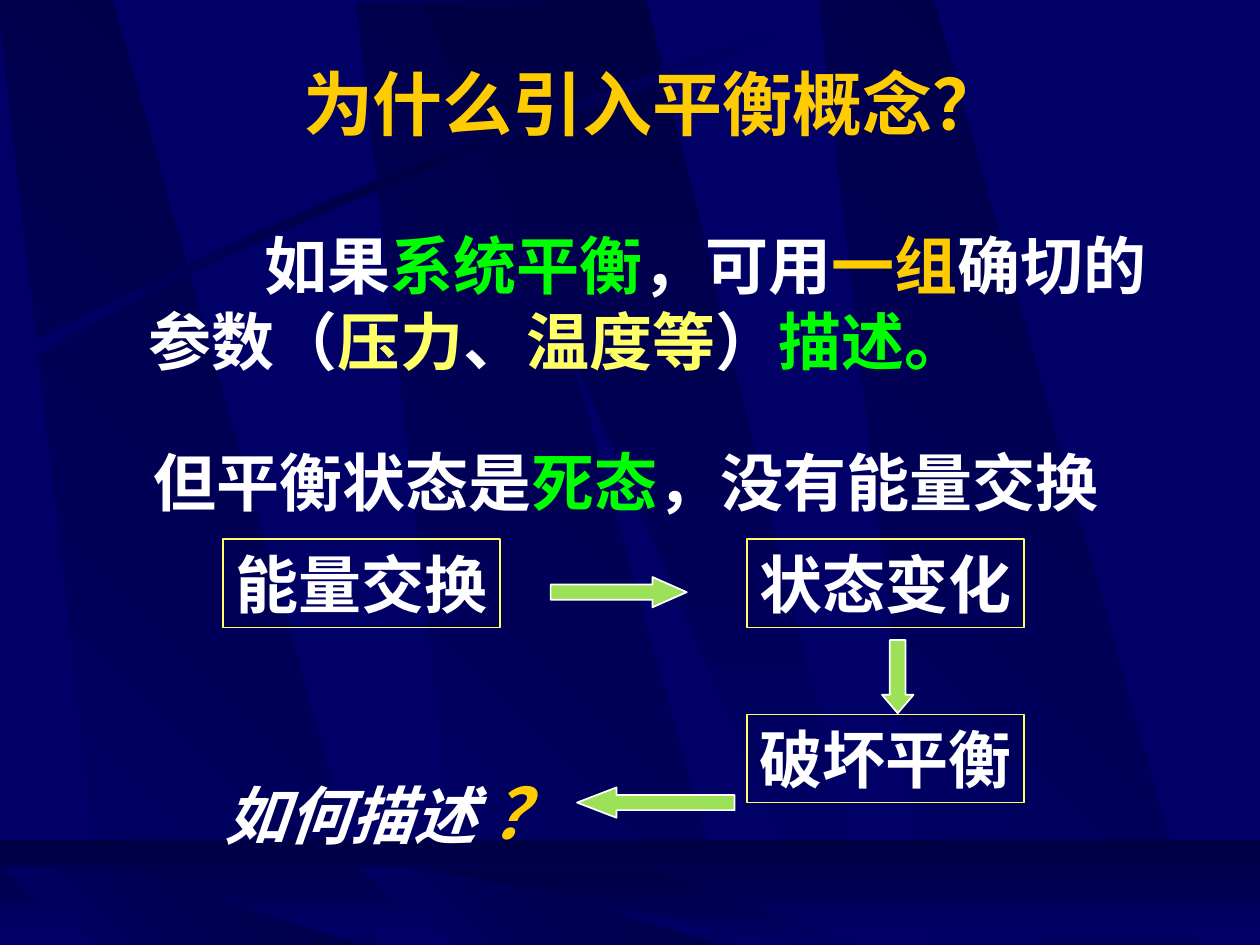
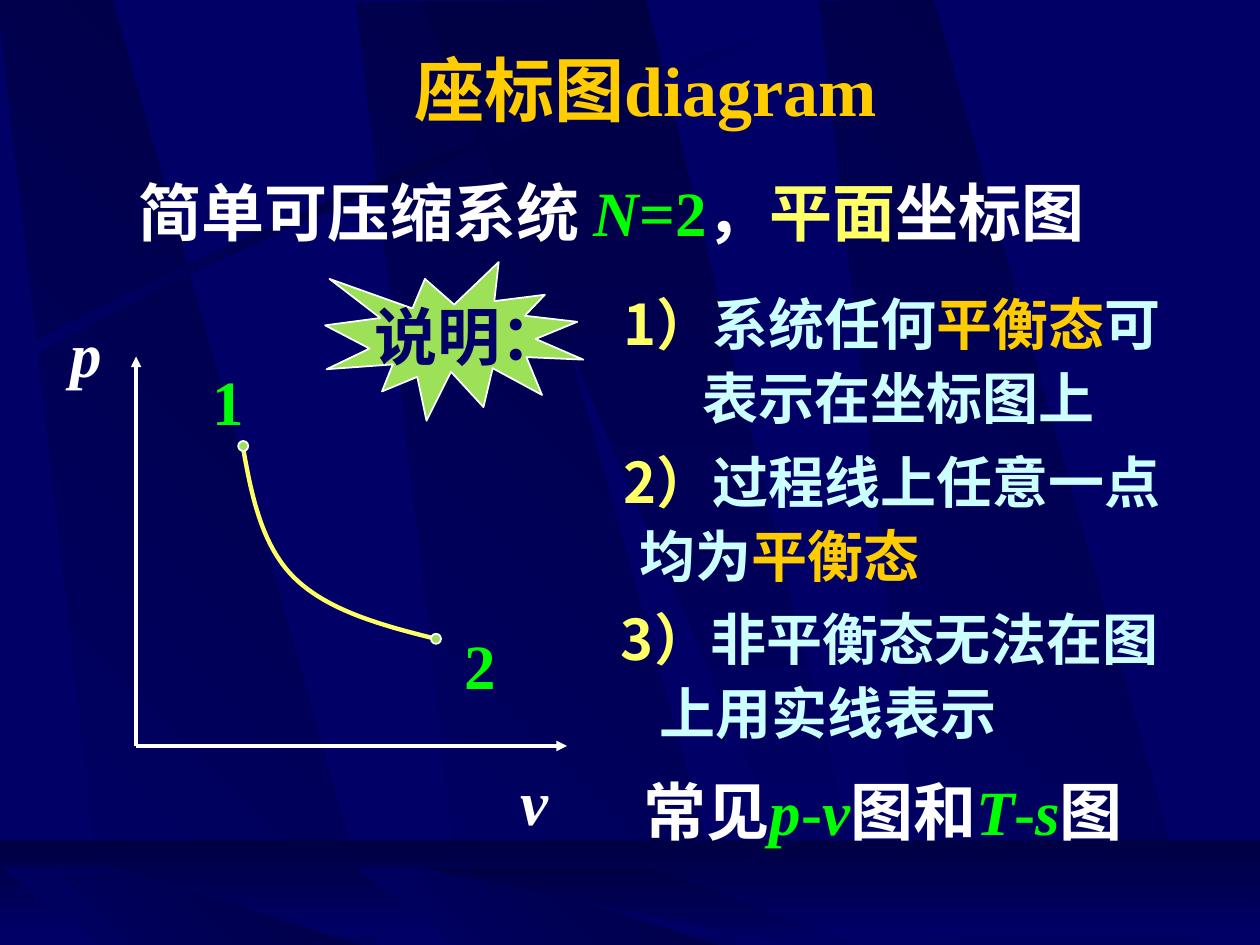
from copy import deepcopy

from lxml.etree import SubElement
from pptx import Presentation
from pptx.dml.color import RGBColor
from pptx.enum.shapes import MSO_CONNECTOR, MSO_SHAPE as SHAPE
from pptx.enum.text import MSO_ANCHOR, MSO_AUTO_SIZE, PP_ALIGN
from pptx.oxml.ns import qn
from pptx.util import Inches, Pt

NAVY = RGBColor(0x00, 0x00, 0x66)
DARK = RGBColor(0x00, 0x00, 0x44)
GOLD = RGBColor(0xFF, 0xCC, 0x00)
WHITE = RGBColor(0xFF, 0xFF, 0xFF)
GREEN = RGBColor(0x00, 0xFF, 0x00)
YELLOW = RGBColor(0xFF, 0xFF, 0x66)
ICE = RGBColor(0xCC, 0xFF, 0xFF)
LIME = RGBColor(0x9C, 0xE1, 0x57)
SERIF, SANS = "Times New Roman", "Noto Sans CJK SC"
LEFT, CENTER = PP_ALIGN.LEFT, PP_ALIGN.CENTER


def add_outline(s, start, segments, close=True):
    """Draw a freeform; a segment is (x, y) or the three points of a cubic curve."""
    points = [start]
    for seg in segments:
        if len(seg) == 2:
            points.append(seg)
            continue
        curve = (points[-1], *seg)
        for t in (i / 24 for i in range(1, 25)):
            weights = ((1 - t) ** 3, 3 * t * (1 - t) ** 2, 3 * t * t * (1 - t), t ** 3)
            points.append([sum(w * pt[k] for w, pt in zip(weights, curve)) for k in (0, 1)])
    emu = [(Inches(x), Inches(y)) for x, y in points]
    builder = s.shapes.build_freeform(*emu[0])
    builder.add_line_segments(emu[1:], close=close)
    return builder.convert_to_shape()


def write(tf, *lines, size=36, font=SERIF, align=CENTER, wrap=False, space=4):
    """Fill a text frame; a line is a list of runs (text, colour[, font[, italic]])."""
    tf.word_wrap = wrap
    tf.auto_size = MSO_AUTO_SIZE.SHAPE_TO_FIT_TEXT
    for i, runs in enumerate(lines):
        p = tf.add_paragraph() if i else tf.paragraphs[0]
        p.alignment = align
        if i:
            p.space_before = Pt(space)
        p.font.name, p.font.size, p.font.bold = font, Pt(size), True
        for text, color, *style in runs:
            r = p.add_run()
            r.text = text
            r.font.color.rgb = color
            if style:
                r.font.name = style[0]
            if len(style) > 1:
                r.font.italic = style[1]


prs = Presentation()
prs.slide_width, prs.slide_height = Inches(10), Inches(7.5)
master = prs.slide_master
master.background.fill.solid()
master.background.fill.fore_color.rgb = NAVY

# Titles
slides = []
for title, box in [("为什么引入平衡概念？", (1.14, 0.43, 8.08, 0.77)),
                   ("座标图diagram", (2.75, 0.32, 4.75, 0.77))]:
    s = prs.slides.add_slide(prs.slide_layouts[5])
    sp = s.shapes.title
    sp.left, sp.top, sp.width, sp.height = map(Inches, box)
    sp.text_frame.vertical_anchor = MSO_ANCHOR.MIDDLE
    write(sp.text_frame, [(title, GOLD)], size=40, wrap=True)
    slides.append(s)
equilibrium, diagram = slides

# Backdrop shared through the master
s = equilibrium
backdrop = []
for x, y in [(2.83, 0.02), (-0.02, 0), (6.5, 0.01)]:
    panel = add_outline(s, (x + 0.86, y + 7.49), [(x + 3.02, y + 7.5), (x + 0.91, y - 0.01), (x, y)])
    backdrop.append((panel, 45, (NAVY, DARK)))
beam = add_outline(s, (3.33, 0.01), [(6.58, 7.51), (6.94, 7.51), (5.13, 0)])
backdrop.append((beam, 270, (DARK, NAVY)))
streak = add_outline(s, (0.2, 2.75), [((2.84, 1.34), (5.24, 0.59), (6.26, 0.18)), (6.29, 0.24),
                                     ((5.28, 0.69), (2.54, 1.51), (0.23, 2.85))])
backdrop.append((streak, 0, (NAVY, DARK, NAVY)))
floor = s.shapes.add_shape(SHAPE.RECTANGLE, 0, Inches(6.67), Inches(10), Inches(0.75))
backdrop.append((floor, 270, (DARK, NAVY)))
for x in (2.83, 0):
    panel = add_outline(s, (x + 0.86, 7.55), [(x + 3.02, 7.55), (x + 0.91, 6.88), (x, 6.88)])
    backdrop.append((panel, 45, (NAVY, DARK)))
beam = add_outline(s, (3.33, 6.88), [(6.58, 7.55), (6.94, 7.55), (5.13, 6.88)])
backdrop.append((beam, 270, (DARK, NAVY)))

for i, (sp, angle, colors) in enumerate(backdrop):
    sp.shadow.inherit = False
    sp.line.fill.background()
    sp.fill.gradient()
    sp.fill.gradient_angle = angle
    stops = sp._element.spPr.find(".//" + qn("a:gsLst"))
    for _ in colors[2:]:
        stops.append(deepcopy(stops[0]))
    for k, (stop, color) in enumerate(zip(sp.fill.gradient_stops, colors)):
        stop.position = k / (len(colors) - 1)
        stop.color.rgb = color
    sp._element.nvSpPr.cNvPr.set("id", str(100 + i))
    master.shapes._spTree.insert(2 + i, sp._element)

# Slide 1: why equilibrium is introduced
tf = s.shapes.add_textbox(*map(Inches, (1.08, 1.75, 8.17, 1.3))).text_frame
write(tf, [("如果", WHITE), ("系统平衡", GREEN), ("，可用", WHITE), ("一组", GOLD),
           ("确切的参数（", WHITE), ("压力", YELLOW), ("、", WHITE), ("温度等", YELLOW),
           ("）", WHITE), ("描述。", GREEN)], align=LEFT, wrap=True)
tf.paragraphs[0]._p.get_or_add_pPr().set("indent", str(Inches(0.92)))

tf = s.shapes.add_textbox(*map(Inches, (1.12, 3.47, 7.7, 0.7))).text_frame
write(tf, [("但平衡状态是", WHITE), ("死态", GREEN), ("，没有能量交换", WHITE)])

for step, x, y in [("能量交换", 1.77, 4.28), ("状态变化", 5.93, 4.28), ("破坏平衡", 5.93, 5.67)]:
    sp = s.shapes.add_shape(SHAPE.RECTANGLE, *map(Inches, (x, y, 2.2, 0.7)))
    sp.shadow.inherit = False
    sp.fill.background()
    sp.line.color.rgb, sp.line.width = YELLOW, Pt(1)
    write(sp.text_frame, [(step, WHITE)])

lime_shapes = []
for kind, box, head in [(SHAPE.RIGHT_ARROW, (4.37, 4.58, 1.08, 0.24), 1.13),
                        (SHAPE.DOWN_ARROW, (7, 5.08, 0.25, 0.58), 0.58),
                        (SHAPE.LEFT_ARROW, (4.58, 6.25, 1.25, 0.24), 1.3)]:
    arrow = s.shapes.add_shape(kind, *map(Inches, box))
    arrow.adjustments[1] = head
    lime_shapes.append(arrow)

tf = s.shapes.add_textbox(*map(Inches, (1.62, 6.06, 2.99, 0.77))).text_frame
write(tf, [("如何描述 ", WHITE), ("？", GOLD)])
tf.paragraphs[0].font.italic = True
tf.paragraphs[0].runs[1].font.size = Pt(40)

# Slide 2: p-v diagram
s = diagram
tf = s.shapes.add_textbox(*map(Inches, (1, 1.33, 8.25, 0.7))).text_frame
write(tf, [("简单可压缩系统 ", WHITE), ("N", GREEN, SERIF, True), ("=2", GREEN, SERIF),
           ("，", WHITE), ("平面", YELLOW), ("坐标图", WHITE)], font=SANS, align=LEFT, wrap=True)

for x, y in [(4.5, 5.92), (1.08, 2.83)]:
    axis = s.shapes.add_connector(MSO_CONNECTOR.STRAIGHT, *map(Inches, (1.08, 5.92, x, y)))
    axis.line.color.rgb, axis.line.width = WHITE, Pt(2)
    SubElement(axis.line._get_or_add_ln(), qn("a:tailEnd"), type="triangle")
    SubElement(axis._element.spPr, qn("a:effectLst"))

process = add_outline(s, (1.92, 3.5), [((1.99, 3.91), (2.07, 4.32), (2.33, 4.58)),
                                      ((2.6, 4.85), (3.05, 4.97), (3.5, 5.08))], close=False)
process.shadow.inherit = False
process.fill.background()
process.line.color.rgb, process.line.width = YELLOW, Pt(2.5)

for x, y in [(1.89, 3.5), (3.42, 5.03)]:
    lime_shapes.append(s.shapes.add_shape(SHAPE.OVAL, *map(Inches, (x, y, 0.08, 0.08))))

for label, x, y, color, italic in [("p", 0.46, 2.45, WHITE, True), ("v", 4.02, 6, WHITE, True),
                                   ("1", 1.59, 2.83, GREEN, False), ("2", 3.59, 4.92, GREEN, False)]:
    tf = s.shapes.add_textbox(*map(Inches, (x, y, 0.45, 0.7))).text_frame
    write(tf, [(label, color, SERIF, italic)])

callout = s.shapes.add_group_shape().shapes
lime_shapes.append(callout.add_shape(SHAPE.EXPLOSION1, *map(Inches, (2.58, 2.08, 2.05, 1.26))))
tf = callout.add_textbox(*map(Inches, (2.87, 2.31, 1.7, 0.7))).text_frame
write(tf, [("说明：", NAVY)], font=SANS)

# Each note: position, alignments of its two lines, left margin of the second line
for x, y, aligns, margin, lines in [
    (4.58, 2.25, (CENTER, CENTER), 0.1,
     ([("1）", YELLOW), ("系统任何", ICE), ("平衡态", GOLD), ("可", ICE)],
      [("表示在坐标图上", ICE)])),
    (4.58, 3.5, (CENTER, LEFT), 0.4,
     ([("2）", YELLOW), ("过程线上任意一点", ICE)],
      [("均为", ICE), ("平衡态", GOLD)])),
    (4.83, 4.75, (LEFT, LEFT), 0.31,
     ([("3）", YELLOW), ("非平衡态无法在图", ICE)],
      [("上用实线表示", ICE)])),
]:
    tf = s.shapes.add_textbox(*map(Inches, (x, y, 5, 1.23))).text_frame
    write(tf, *lines, size=32, font=SANS, wrap=True)
    for p, align in zip(tf.paragraphs, aligns):
        p.alignment = align
    tf.paragraphs[1]._p.get_or_add_pPr().set("marL", str(Inches(margin)))

tf = s.shapes.add_textbox(*map(Inches, (4.77, 6.08, 4.48, 0.7))).text_frame
write(tf, [("常见", WHITE), ("p", GREEN, SERIF, True), ("-", GREEN, SERIF), ("v", GREEN, SERIF, True),
           ("图和", WHITE), ("T", GREEN, SERIF, True), ("-", GREEN, SERIF), ("s", GREEN, SERIF, True),
           ("图", WHITE)], font=SANS)

for sp in lime_shapes:
    sp.shadow.inherit = False
    sp.fill.solid()
    sp.fill.fore_color.rgb = LIME
    sp.line.color.rgb, sp.line.width = WHITE, Pt(1)

prs.save("out.pptx")
